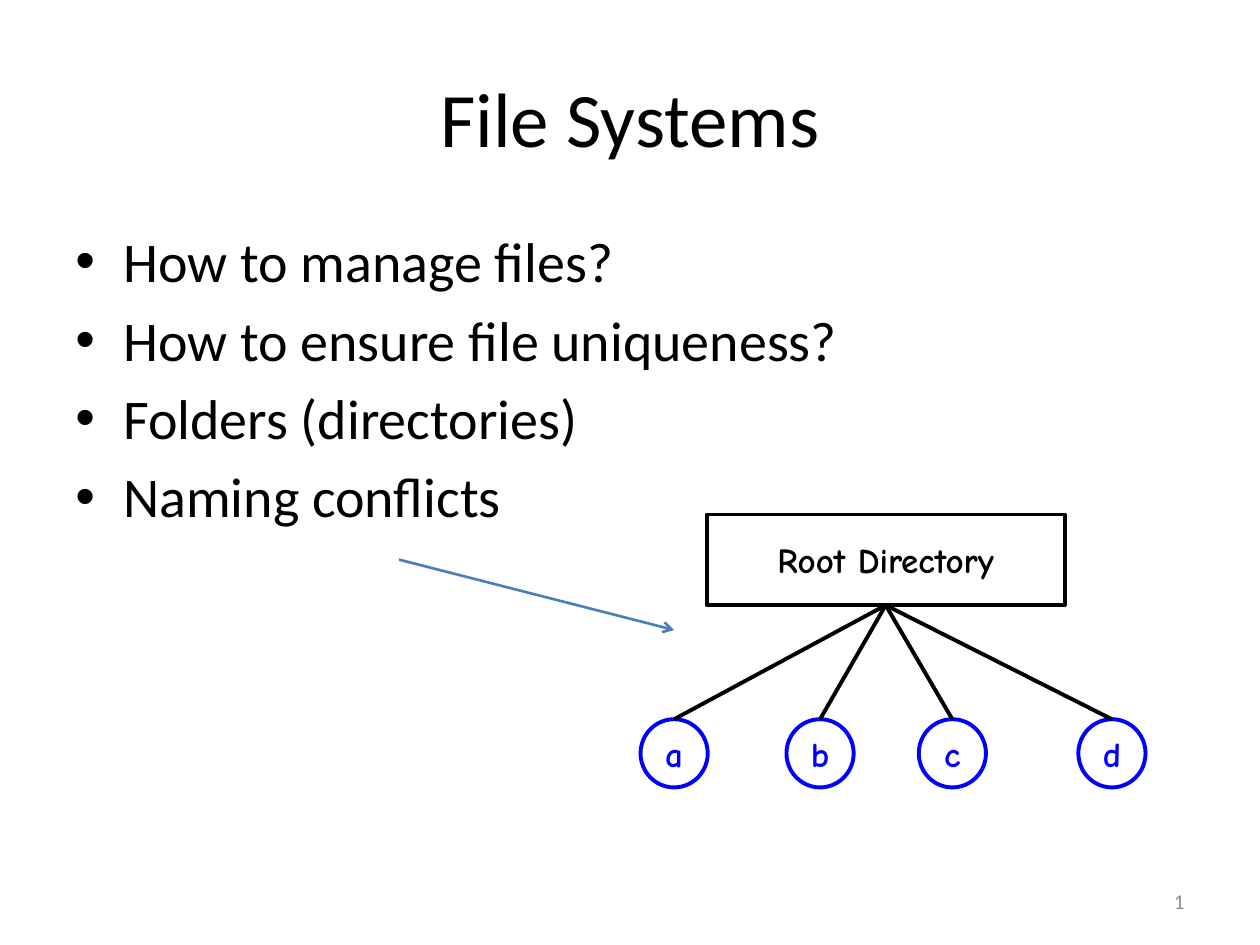
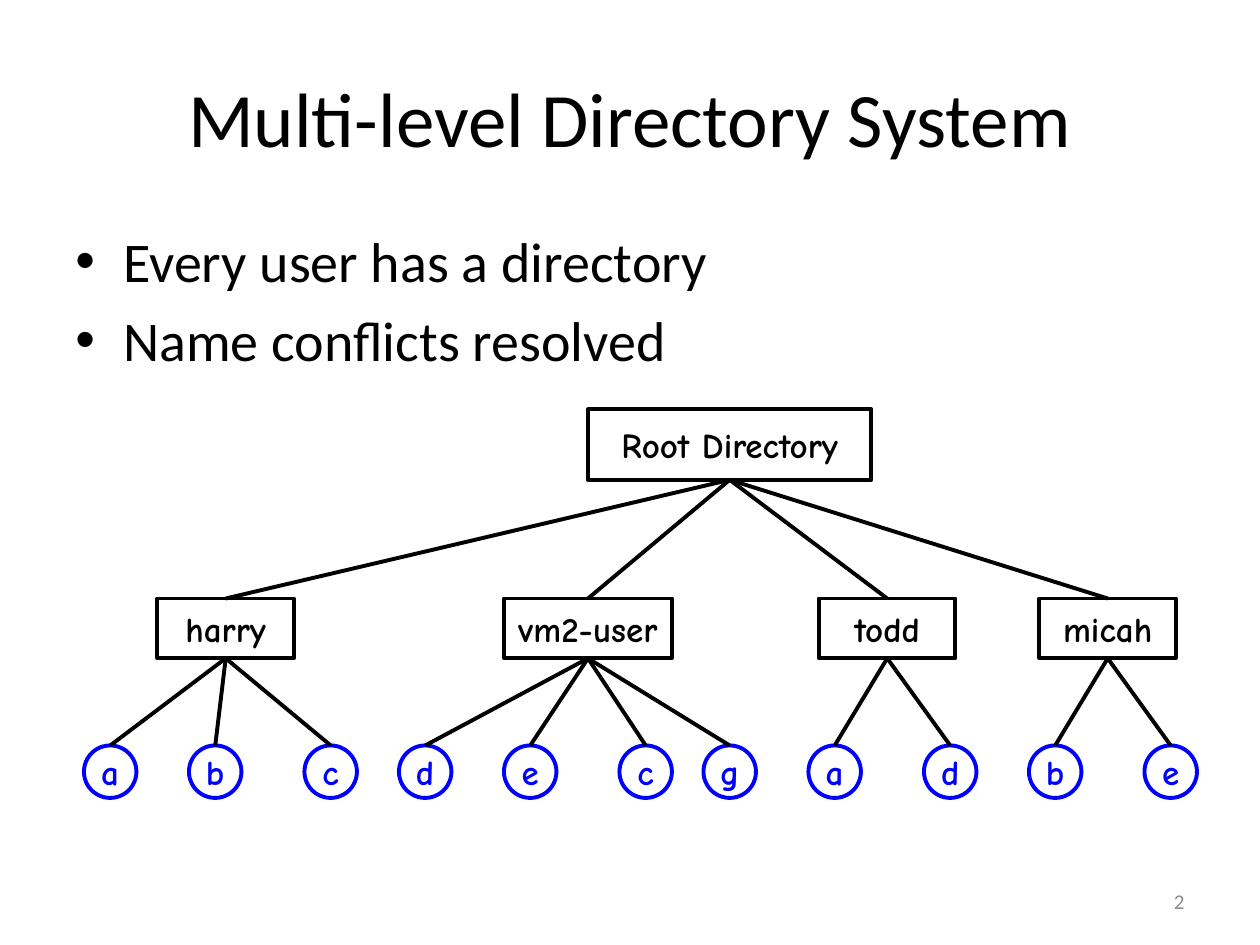
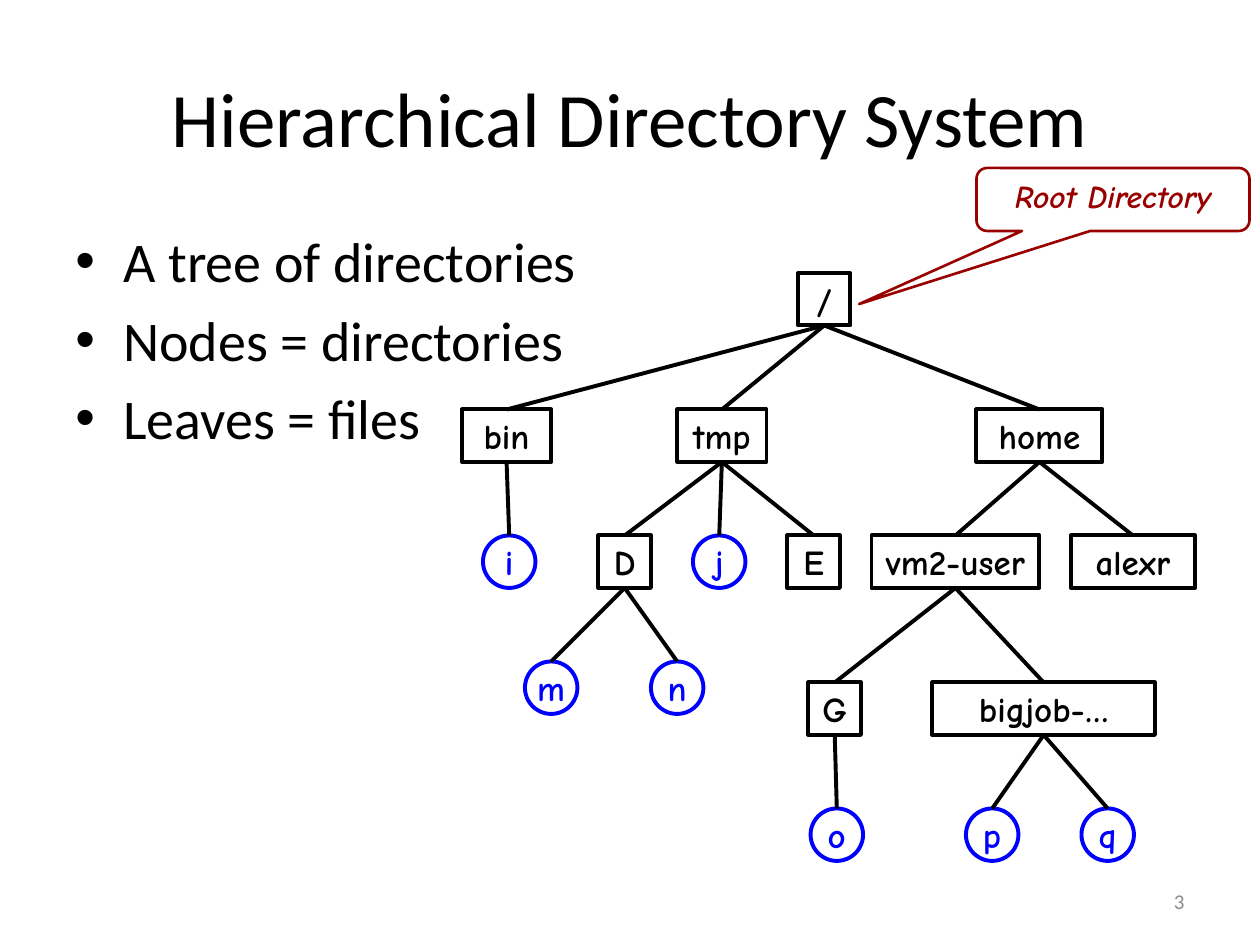
from dataclasses import dataclass

from lxml.etree import SubElement
from pptx import Presentation
from pptx.dml.color import RGBColor
from pptx.enum.shapes import MSO_CONNECTOR, MSO_SHAPE
from pptx.enum.text import MSO_ANCHOR, PP_ALIGN
from pptx.oxml.ns import qn
from pptx.util import Inches, Pt

BLACK = RGBColor(0x00, 0x00, 0x00)
WHITE = RGBColor(0xFF, 0xFF, 0xFF)
FILE_BLUE = RGBColor(0x00, 0x00, 0xFF)
ARROW_BLUE = RGBColor(0x4B, 0x7E, 0xBC)
CALLOUT_RED = RGBColor(0x99, 0x00, 0x00)
NUMBER_GRAY = RGBColor(0x8C, 0x8C, 0x8C)

SLIDE_WIDTH, SLIDE_HEIGHT = Inches(10), Inches(7.5)
COLUMNS, ROWS = 120, 90
TITLE_ONLY = 5

TITLE_BOX = (6, 3.6, 108, 15)
BODY_BOX = (6, 21, 108, 59.4)
NUMBER_BOX = (86, 83.4, 28, 4.8)

TITLE_FONT = {"name": "Calibri", "size": Pt(44)}
BODY_FONT = {"name": "Calibri", "size": Pt(32)}
NUMBER_FONT = {"name": "Calibri", "size": Pt(12)}
NODE_FONT = {"name": "Comic Neue", "size": Pt(20), "bold": True}
CALLOUT_FONT = {"name": "Comic Neue", "size": Pt(18), "bold": True, "italic": True}

CENTERED = {"alignment": PP_ALIGN.CENTER}
SHAPE_TEXT = {"word_wrap": False, "vertical_anchor": MSO_ANCHOR.MIDDLE}
BLOCK_TEXT = {"word_wrap": True, "vertical_anchor": MSO_ANCHOR.MIDDLE}
TOP_SITE, BOTTOM_SITE = 0, 2


@dataclass
class Node:
    label: str
    left: float
    width: float = 5
    children: tuple = ()
    rise: float = 0
    outline: int = MSO_SHAPE.RECTANGLE
    color: RGBColor = BLACK


def file(label, left, width=5, rise=0):
    return Node(label, left, width, (), rise, MSO_SHAPE.OVAL, FILE_BLUE)


def files(labels, *lefts, **options):
    return tuple(file(label, left, **options) for label, left in zip(labels, lefts))


def grid(left, top, width, height):
    column, row = SLIDE_WIDTH / COLUMNS, SLIDE_HEIGHT / ROWS
    return tuple(round(value) for value in
                 (left * column, top * row, width * column, height * row))


def apply_format(target, values):
    for name, value in values.items():
        setattr(target, name, value)


def format_font(font, values, color):
    apply_format(font, values)
    font.color.rgb = color


def format_line(line, color, width):
    line.color.rgb = color
    line.width = Pt(width)


def add_title(slide, text):
    title = slide.shapes.title
    apply_format(title, dict(zip(("left", "top", "width", "height"), grid(*TITLE_BOX))))
    apply_format(title.text_frame, BLOCK_TEXT)
    paragraph = title.text_frame.paragraphs[0]
    paragraph.text = text
    apply_format(paragraph, CENTERED)
    format_font(paragraph.runs[0].font, TITLE_FONT, BLACK)


def add_bullets(slide, items):
    frame = slide.shapes.add_textbox(*grid(*BODY_BOX)).text_frame
    frame.word_wrap = True
    for index, item in enumerate(items):
        paragraph = frame.paragraphs[0] if index == 0 else frame.add_paragraph()
        format_font(paragraph.font, BODY_FONT, BLACK)
        run = paragraph.add_run()
        run.text = item
        format_font(run.font, BODY_FONT, BLACK)
        properties = paragraph._p.get_or_add_pPr()
        properties.set("marL", str(Inches(0.38)))
        properties.set("indent", str(-Inches(0.38)))
        spacing = properties.makeelement(qn("a:spcBef"), {})
        SubElement(spacing, qn("a:spcPct"), val="20000")
        font = properties.makeelement(qn("a:buFont"), {"typeface": "Arial"})
        bullet = properties.makeelement(qn("a:buChar"), {"char": "•"})
        for position, element in enumerate((spacing, font, bullet)):
            properties.insert(position, element)


def add_slide_number(slide, number):
    frame = slide.shapes.add_textbox(*grid(*NUMBER_BOX)).text_frame
    apply_format(frame, BLOCK_TEXT)
    paragraph = frame.paragraphs[0]
    paragraph.alignment = PP_ALIGN.RIGHT
    run = paragraph.add_run()
    run.text = str(number)
    format_font(run.font, NUMBER_FONT, NUMBER_GRAY)
    field = SubElement(paragraph._p, qn("a:fld"), type="slidenum",
                       id="{B6F15528-21DE-4FAA-801E-634DDDAF4B2B}")
    field.extend(list(run._r))
    paragraph._p.remove(run._r)


def add_labelled_shape(slide, outline, box, text, font, color, line_width):
    shape = slide.shapes.add_shape(outline, *grid(*box))
    shape.shadow.inherit = False
    format_line(shape.line, color, line_width)
    apply_format(shape.text_frame, SHAPE_TEXT)
    paragraph = shape.text_frame.paragraphs[0]
    paragraph.text = text
    apply_format(paragraph, CENTERED)
    format_font(paragraph.runs[0].font, font, color)
    return shape


def add_line(slide, color, width, start=(0, 0), end=(0, 0)):
    points = grid(*start, *end)
    line = slide.shapes.add_connector(MSO_CONNECTOR.STRAIGHT, *points)
    format_line(line.line, color, width)
    SubElement(line._element.spPr, qn("a:effectLst"))
    return line


def add_arrow(slide, start, end):
    arrow = add_line(slide, ARROW_BLUE, 1.5, start, end)
    SubElement(arrow.line._get_or_add_ln(), qn("a:tailEnd"), type="arrow")


def add_tree(slide, node, levels):
    top, height = levels[0]
    box = (node.left, top - node.rise, node.width, height)
    parent = add_labelled_shape(slide, node.outline, box, node.label,
                                NODE_FONT, node.color, 2.25)
    parent.fill.background()
    for child_node in node.children:
        child = add_tree(slide, child_node, levels[1:])
        line = add_line(slide, BLACK, 2.25)
        line.begin_connect(parent, BOTTOM_SITE)
        line.end_connect(child, TOP_SITE)
    return parent


def add_callout(slide, text, box, adjustments):
    callout = add_labelled_shape(slide, MSO_SHAPE.ROUNDED_RECTANGULAR_CALLOUT, box,
                                 text, CALLOUT_FONT, CALLOUT_RED, 1.5)
    callout.fill.solid()
    callout.fill.fore_color.rgb = WHITE
    callout.text_frame.paragraphs[0].line_spacing = 0.8
    for index, value in enumerate(adjustments):
        callout.adjustments[index] = value


def add_tree_slide(presentation, title, bullets, root, levels):
    slide = presentation.slides.add_slide(presentation.slide_layouts[TITLE_ONLY])
    add_title(slide, title)
    add_bullets(slide, bullets)
    add_slide_number(slide, len(presentation.slides))
    add_tree(slide, root, levels)
    return slide


def add_file_systems(presentation):
    root = Node("Root Directory", 67.3, 34.1,
                files("abcd", 61, 74.9, 87.5, 102.7, width=6.4))
    slide = add_tree_slide(
        presentation, "File Systems",
        ("How to manage files?", "How to ensure file uniqueness?",
         "Folders (directories)", "Naming conflicts"),
        root, ((49, 8.64), (68.5, 6.5)))
    add_arrow(slide, (38, 53.3), (64.2, 60))


def add_multi_level(presentation):
    root = Node("Root Directory", 56, 27, (
        Node("harry", 15, 13, files("abc", 8, 18, 29)),
        Node("vm2-user", 48, 16, files("decg", 38, 48, 59, 67)),
        Node("todd", 78, 13, files("ad", 77, 88)),
        Node("micah", 99, 13, files("be", 98, 109)),
    ))
    add_tree_slide(
        presentation, "Multi-level Directory System",
        ("Every user has a directory", "Name conflicts resolved"),
        root, ((39, 6.7), (57, 5.7), (71, 5)))


def add_hierarchical(presentation):
    user = Node("vm2-user", 83, 16, (
        Node("G", 77, children=files("o", 77.2)),
        Node("bigjob-…", 88.8, 21.2, files("pq", 92, 103)),
    ))
    root = Node("/", 76, children=(
        Node("bin", 44, 8.5, files("i", 46)),
        Node("tmp", 64.5, 8.5, (
            Node("D", 57, children=files("mn", 50, 62, rise=2)),
            file("j", 66),
            Node("E", 75),
        )),
        Node("home", 93, 12, (user, Node("alexr", 102, 11.8))),
    ))
    slide = add_tree_slide(
        presentation, "Hierarchical Directory System",
        ("A tree of directories", "Nodes = directories", "Leaves = files"),
        root, tuple((top, 5) for top in (26, 39, 51, 65, 77)))
    add_callout(slide, "Root Directory", (93, 16, 26, 6), (-0.93, 1.66, 0.17))


def main():
    presentation = Presentation()
    apply_format(presentation, {"slide_width": SLIDE_WIDTH, "slide_height": SLIDE_HEIGHT})
    add_file_systems(presentation)
    add_multi_level(presentation)
    add_hierarchical(presentation)
    presentation.save("out.pptx")


main()
